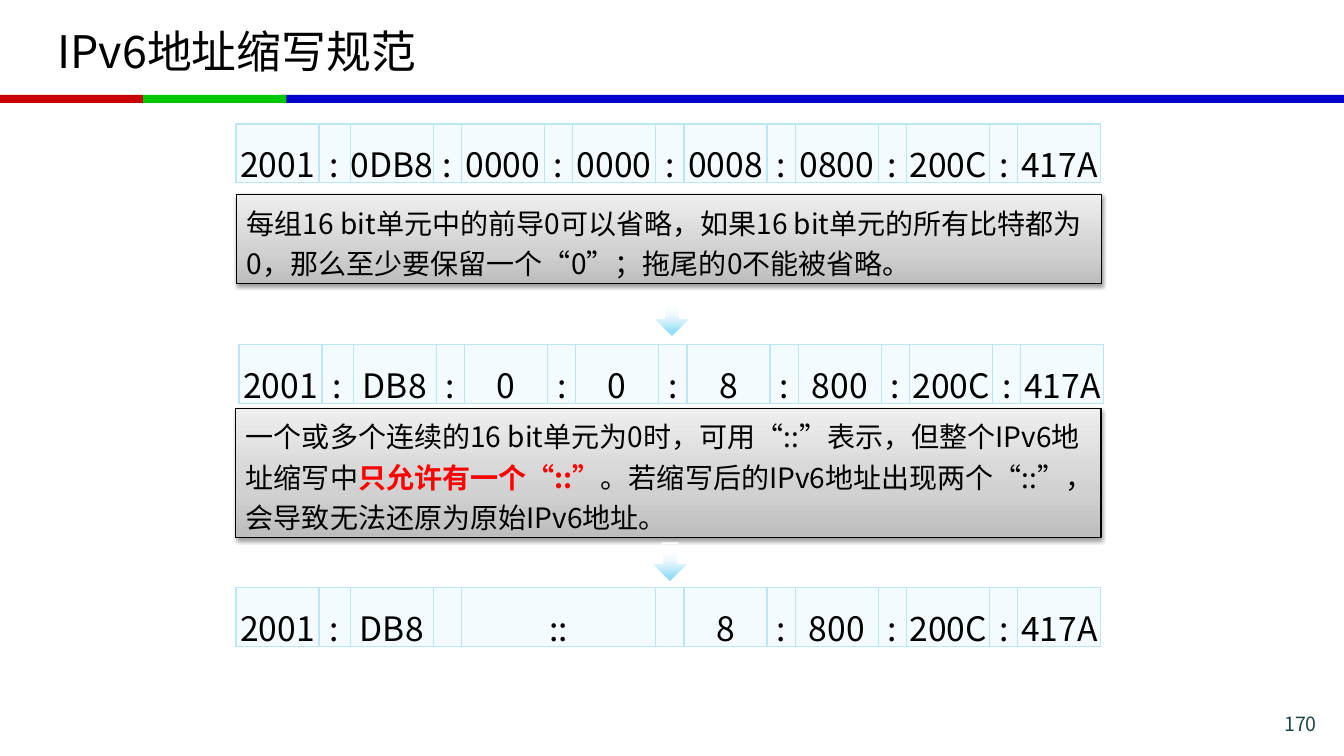
"""Build the slide on the rules for shortening IPv6 addresses."""
import dataclasses
import typing

import lxml.etree
import pptx
import pptx.dml.color
import pptx.enum.shapes
import pptx.enum.text
import pptx.oxml.ns
import pptx.util

Inches = pptx.util.Inches
Pt = pptx.util.Pt
Align = pptx.enum.text.PP_ALIGN
Anchor = pptx.enum.text.MSO_ANCHOR
Kind = pptx.enum.shapes.MSO_SHAPE
qn = pptx.oxml.ns.qn


@dataclasses.dataclass(frozen=True)
class Theme:
    face: str = "Noto Sans CJK SC"
    ink: str = "000000"
    alert: str = "FF0000"
    page: str = "1E4649"
    white: str = "FFFFFF"
    cell: str = "F4FBFE"
    edge: str = "BAE6F6"
    red: str = "C80000"
    green: str = "00C800"
    blue: str = "0000C8"
    grey: tuple = ((0, "BDBDBD", 100), (35, "D1D1D1", 100), (100, "EEEEEE", 100))
    sky: tuple = ((15, "FCFDFE", 0), (81, "99DFF9", 100))
    title: int = 32
    group: int = 24
    note: int = 20
    number: int = 14


class Bar(typing.NamedTuple):
    left: float
    width: float
    color: str


class Label(typing.NamedTuple):
    text: str
    box: tuple
    size: int
    color: str
    align: Align
    anchor: Anchor
    inset: float


class Address(typing.NamedTuple):
    left: float
    top: float
    units: tuple


class Note(typing.NamedTuple):
    left: float
    top: float
    height: float
    runs: tuple


class Arrow(typing.NamedTuple):
    left: float
    top: float


THEME = Theme()
WIDTH = 8.58
FIRST, COLON = 0.31, 0.28
GROUP = (WIDTH - FIRST - 6 * COLON) / 8
ARROW = 0.39

BARS = (
    Bar(2.79, 10.54, THEME.blue),
    Bar(0, 1.42, THEME.red),
    Bar(1.42, 1.42, THEME.green),
)
LABELS = (
    Label("IPv6地址缩写规范", (0.47, 0.08, 12.39, 0.84), THEME.title, THEME.ink,
          Align.LEFT, Anchor.MIDDLE, 0.05),
    Label("170", (11.86, 7.06, 1.3, 0.23), THEME.number, THEME.page,
          Align.RIGHT, Anchor.TOP, 0),
)
ROWS = (
    Address(2.34, 1.23, tuple("2001 : 0DB8 : 0000 : 0000 : 0008 : 0800 : 200C : 417A".split())),
    Address(2.37, 3.42, tuple("2001 : DB8 : 0 : 0 : 8 : 800 : 200C : 417A".split())),
    Address(2.34, 5.83, ("2001", ":", "DB8", "", "::", "",
                         "8", ":", "800", ":", "200C", ":", "417A")),
)
NOTES = (
    Note(2.35, 1.93, 0.88, (
        ("每组16 bit单元中的前导0可以省略，如果16 bit单元的所有比特都为0，"
         "那么至少要保留一个“0”；拖尾的0不能被省略。", False),)),
    Note(2.34, 4.05, 1.28, (
        ("一个或多个连续的16 bit单元为0时，可用“::”表示，但整个IPv6地址缩写中", False),
        ("只允许有一个“::”", True),
        ("。若缩写后的IPv6地址出现两个“::”，会导致无法还原为原始IPv6地址。", False))),
)
ARROWS = (Arrow(6.47, 2.96), Arrow(6.45, 5.39))


def rgb(color: str) -> pptx.dml.color.RGBColor:
    return pptx.dml.color.RGBColor.from_string(color)


def add(parent, tag: str, **attrs):
    return lxml.etree.SubElement(parent, qn(tag), {k: str(v) for k, v in attrs.items()})


def style(para, size: int, color: str) -> None:
    font = para.font
    font.size = Pt(size)
    font.color.rgb = rgb(color)
    font.name = THEME.face
    add(font._rPr, "a:ea", typeface=THEME.face)


def shade(shape, stops: tuple, angle: int) -> None:
    shape.fill.gradient()
    grad = shape._element.spPr.find(qn("a:gradFill"))
    grad.clear()
    grad.set("rotWithShape", "1")
    items = add(grad, "a:gsLst")
    for place, color, alpha in stops:
        stop = add(items, "a:gs", pos=place * 1000)
        tint = add(stop, "a:srgbClr", val=color)
        if alpha < 100:
            add(tint, "a:alpha", val=alpha * 1000)
    add(grad, "a:lin", ang=angle * 60000, scaled=0)


def draw_bar(slide, bar: Bar) -> None:
    shape = slide.shapes.add_shape(Kind.RECTANGLE, Inches(bar.left), Inches(0.94),
                                   Inches(bar.width), Inches(0.08))
    shape.shadow.inherit = False
    shape.fill.solid()
    shape.fill.fore_color.rgb = rgb(bar.color)
    shape.line.fill.background()


def draw_label(slide, label: Label) -> None:
    frame = slide.shapes.add_textbox(*map(Inches, label.box)).text_frame
    frame.word_wrap = True
    frame.vertical_anchor = label.anchor
    frame.margin_top = frame.margin_bottom = Inches(label.inset)
    para = frame.paragraphs[0]
    para.text = label.text
    para.alignment = label.align
    style(para, label.size, label.color)


def draw_cell(cell, text: str) -> None:
    cell.fill.solid()
    cell.fill.fore_color.rgb = rgb(THEME.cell)
    props = cell._tc.get_or_add_tcPr()
    for place, side in enumerate(("a:lnL", "a:lnR", "a:lnT", "a:lnB")):
        line = add(props, side, w=Pt(1))
        add(add(line, "a:solidFill"), "a:srgbClr", val=THEME.edge)
        props.insert(place, line)
    if text:
        cell.margin_left = cell.margin_right = 0
        cell.vertical_anchor = Anchor.MIDDLE
        para = cell.text_frame.paragraphs[0]
        para.text = text
        para.alignment = Align.CENTER
        para.line_spacing = 1.2
        style(para, THEME.group, THEME.ink)


def draw_row(slide, row: Address) -> None:
    frame = slide.shapes.add_table(1, len(row.units), Inches(row.left), Inches(row.top),
                                   Inches(WIDTH), Inches(0.54))
    table = frame.table
    table.first_row = table.horz_banding = False
    table.rows[0].height = Inches(0.33)
    for i, text in enumerate(row.units):
        wide = 2 * GROUP + COLON if text == "::" else GROUP
        gap = FIRST if i == 1 else COLON
        table.columns[i].width = Inches(gap if i % 2 else wide)
        draw_cell(table.cell(0, i), text)


def draw_note(slide, note: Note) -> None:
    shape = slide.shapes.add_shape(Kind.RECTANGLE, Inches(note.left), Inches(note.top),
                                   Inches(WIDTH), Inches(note.height))
    shade(shape, THEME.grey, 270)
    shape.line.color.rgb = rgb(THEME.ink)
    shape.line.width = Pt(0.75)
    shape.shadow.inherit = False
    glow = add(shape._element.spPr.find(qn("a:effectLst")), "a:outerShdw", blurRad=Pt(3.1),
               dist=Pt(1.6), dir=90 * 60000, rotWithShape=0)
    add(add(glow, "a:srgbClr", val=THEME.ink), "a:alpha", val=38000)
    frame = shape.text_frame
    frame.word_wrap = True
    frame.auto_size = pptx.enum.text.MSO_AUTO_SIZE.SHAPE_TO_FIT_TEXT
    frame.vertical_anchor = Anchor.TOP
    para = frame.paragraphs[0]
    para.alignment = Align.LEFT
    para.line_spacing = 1.2
    style(para, THEME.note, THEME.ink)
    for text, strong in note.runs:
        run = para.add_run()
        run.text = text
        run.font.color.rgb = rgb(THEME.alert if strong else THEME.ink)
        run.font.bold = strong


def draw_arrow(slide, arrow: Arrow) -> None:
    shape = slide.shapes.add_shape(Kind.RIGHT_ARROW, Inches(arrow.left), Inches(arrow.top),
                                   Inches(ARROW), Inches(ARROW))
    shape.rotation = 90
    shape.adjustments[0] = 0.4
    shape.shadow.inherit = False
    shade(shape, THEME.sky, 0)
    shape.line.color.rgb = rgb(THEME.white)
    shape.line.width = Pt(1.25)


def main() -> None:
    deck = pptx.Presentation()
    deck.slide_width, deck.slide_height = Inches(13.33), Inches(7.5)
    slide = deck.slides.add_slide(deck.slide_layouts[6])
    jobs = ((draw_bar, BARS), (draw_label, LABELS), (draw_row, ROWS),
            (draw_note, NOTES), (draw_arrow, ARROWS))
    for draw, items in jobs:
        for item in items:
            draw(slide, item)
    deck.save("out.pptx")


if __name__ == "__main__":
    main()
